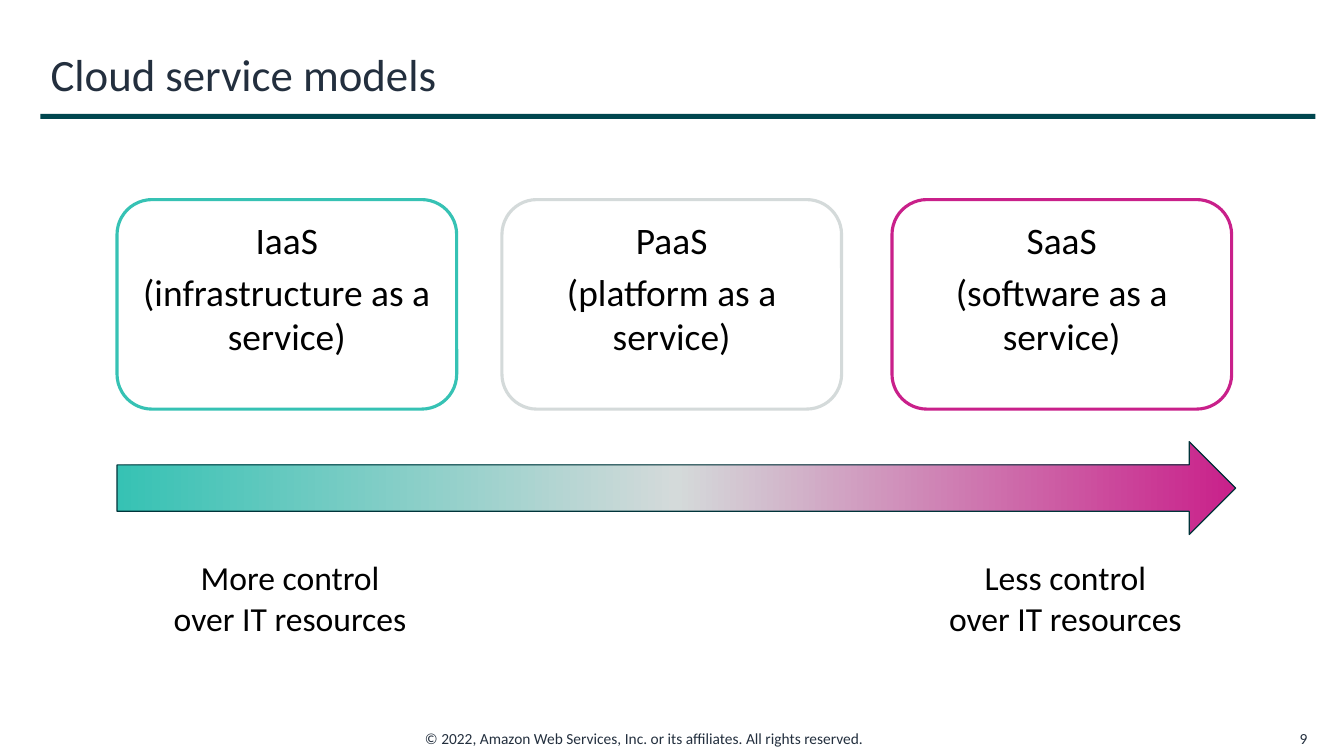
import copy

import pptx
import pptx.dml.color
import pptx.enum.shapes
import pptx.enum.text
import pptx.oxml.ns
import pptx.util

Cm = pptx.util.Cm
Pt = pptx.util.Pt
SHAPE = pptx.enum.shapes.MSO_SHAPE
ALIGN = pptx.enum.text.PP_ALIGN
ANCHOR = pptx.enum.text.MSO_ANCHOR

COLORS = {
    "ink": "232F3E",
    "text": "000000",
    "rule": "00464F",
    "outline": "00343A",
    "paper": "FFFFFF",
    "teal": "36C2B4",
    "grey": "D4DADA",
    "magenta": "C9208A",
}


def rgb(name):
    return pptx.dml.color.RGBColor.from_string(COLORS[name])


class Deck:
    font = "Calibri"

    def __init__(self, width, height):
        self.prs = pptx.Presentation()
        self.prs.slide_width = Cm(width)
        self.prs.slide_height = Cm(height)
        self.s = self.prs.slides.add_slide(self.prs.slide_layouts[5])

    def fill_text(self, tf, paragraphs, size, color, align, anchor, gap=0):
        tf.word_wrap = True
        tf.auto_size = pptx.enum.text.MSO_AUTO_SIZE.NONE
        tf.vertical_anchor = anchor
        for i, text in enumerate(paragraphs):
            p = tf.add_paragraph() if i else tf.paragraphs[0]
            p.alignment = align
            p.space_before = Pt(gap if i else 0)
            for j, line in enumerate(text.split("\n")):
                if j:
                    p.add_line_break()
                r = p.add_run()
                r.text = line
                r.font.name = self.font
                r.font.size = Pt(size)
                r.font.color.rgb = rgb(color)

    def title(self, text, x, y, w, h):
        sp = self.s.shapes.title
        sp.left, sp.top, sp.width, sp.height = Cm(x), Cm(y), Cm(w), Cm(h)
        self.fill_text(sp.text_frame, [text], 32, "ink", ALIGN.LEFT, ANCHOR.MIDDLE)

    def text(self, text, x, y, w, h, size, color, align, anchor=ANCHOR.TOP):
        sp = self.s.shapes.add_textbox(Cm(x), Cm(y), Cm(w), Cm(h))
        self.fill_text(sp.text_frame, [text], size, color, align, anchor)

    def shape(self, kind, x, y, w, h, fill=None, line=None, weight=0):
        sp = self.s.shapes.add_shape(kind, Cm(x), Cm(y), Cm(w), Cm(h))
        sp.shadow.inherit = False
        if fill:
            sp.fill.solid()
            sp.fill.fore_color.rgb = rgb(fill)
        if line:
            sp.line.color.rgb = rgb(line)
            sp.line.width = Pt(weight)
        else:
            sp.line.fill.background()
        return sp

    def card(self, paragraphs, x, y, w, h, line):
        sp = self.shape(SHAPE.ROUNDED_RECTANGLE, x, y, w, h, "paper", line, 2.25)
        tf = sp.text_frame
        tf.margin_left = tf.margin_right = Cm(0.33)
        tf.margin_top = tf.margin_bottom = Cm(0.18)
        self.fill_text(tf, paragraphs, 26.7, "text", ALIGN.CENTER, ANCHOR.TOP, 5)

    def gradient_arrow(self, x, y, w, h, colors):
        sp = self.shape(SHAPE.RIGHT_ARROW, x, y, w, h, line="outline", weight=0.85)
        sp.fill.gradient()
        sp.fill.gradient_angle = 0
        stops = sp._element.spPr.find(".//" + pptx.oxml.ns.qn("a:gsLst"))
        stops.insert(1, copy.deepcopy(stops[0]))
        for i, (stop, color) in enumerate(zip(sp.fill.gradient_stops, colors)):
            stop.position = i / (len(colors) - 1)
            stop.color.rgb = rgb(color)


def main():
    deck = Deck(33.87, 19.05)
    deck.text("© 2022, Amazon Web Services, Inc. or its affiliates. All rights reserved.",
              10.46, 18.24, 12.93, 0.74, 11, "ink", ALIGN.LEFT)
    deck.shape(SHAPE.RECTANGLE, 1.02, 2.87, 32.13, 0.13, "rule")
    deck.text("9", 31.85, 18.24, 1.35, 0.74, 11, "ink", ALIGN.RIGHT, ANCHOR.MIDDLE)
    deck.title("Cloud service models", 1.02, 0.84, 32.13, 2.03)

    models = [
        ("IaaS", "infrastructure", 2.95, "teal"),
        ("PaaS", "platform", 12.65, "grey"),
        ("SaaS", "software", 22.48, "magenta"),
    ]
    for name, kind, x, color in models:
        deck.card([name, f"({kind} as a service)"], x, 5.03, 8.56, 5.28, color)

    deck.gradient_arrow(2.95, 11.13, 28.19, 2.34, [m[-1] for m in models])
    for amount, x in (("More", 3.78), ("Less", 23.32)):
        deck.text(f"{amount} control\nover IT resources", x, 13.92, 7.06, 2.31,
                  24, "text", ALIGN.CENTER)

    deck.prs.save("out.pptx")


if __name__ == "__main__":
    main()
